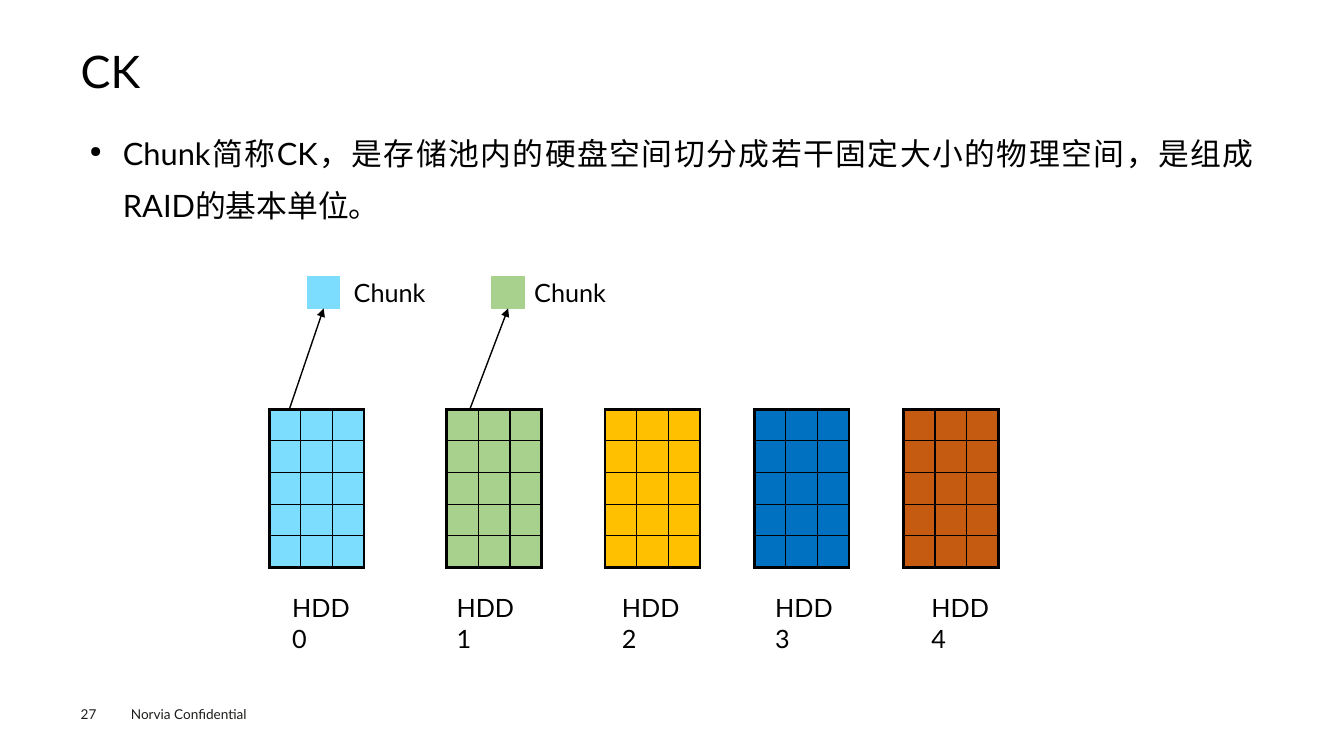
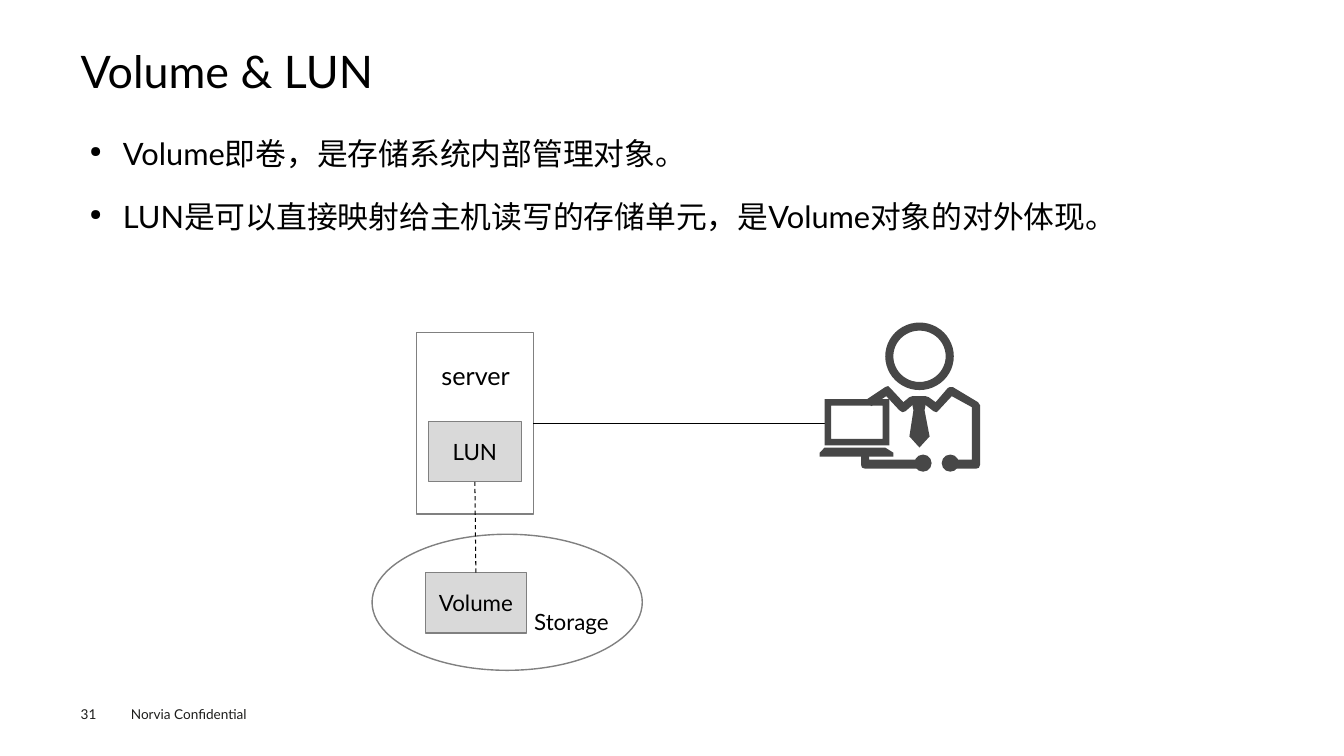
"""Build two storage concept slides: chunks, and volumes with LUNs."""
from lxml.etree import SubElement
from pptx import Presentation
from pptx.dml.color import RGBColor as Rgb
from pptx.enum.dml import MSO_LINE as Dash
from pptx.enum.shapes import MSO_CONNECTOR as Link, MSO_SHAPE as Kind
from pptx.enum.text import MSO_ANCHOR as Anchor, PP_ALIGN as Align
from pptx.oxml.ns import qn
from pptx.util import Inches, Pt

FONT = "Lato"
INK = {
    "black": "000000", "foot": "1D1D1B", "white": "FFFFFF", "edge": "808080",
    "box": "D9D9D9", "icon": "474747", "sky": "7DDDFF", "green": "A9D18E",
    "gold": "FFC000", "blue": "0070C0", "rust": "C55A11",
}


def hue(name):
    return Rgb.from_string(INK[name])


def write(frame, *lines, size=18, ink="black", align=Align.LEFT, anchor=Anchor.TOP,
          inset=(0.1, 0.05), space=None, before=0, bullet=False):
    frame.word_wrap = True
    frame.vertical_anchor = anchor
    frame.margin_left = frame.margin_right = Inches(inset[0])
    frame.margin_top = frame.margin_bottom = Inches(inset[1])
    for num, line in enumerate(lines):
        para = frame.add_paragraph() if num else frame.paragraphs[0]
        para.alignment = align
        para.line_spacing = space
        para.space_before = Pt(before)
        run = para.add_run()
        run.text = line
        run.font.size = Pt(size)
        run.font.name = FONT
        run.font.color.rgb = hue(ink)
        SubElement(run.font._element, qn("a:ea"), typeface=FONT)
        if bullet:
            props = para._p.get_or_add_pPr()
            props.set("marL", str(Inches(0.33)))
            props.set("indent", str(Inches(-0.33)))
            SubElement(props, qn("a:buSzPct"), val="50000")
            SubElement(props, qn("a:buChar"), char="●")


class Deck:
    """Hold the shared style and the current slide."""

    def __init__(self):
        self.file = Presentation()
        self.file.slide_width = Inches(13.33)
        self.file.slide_height = Inches(7.5)

    def page(self, num, title, *points):
        self.slide = self.file.slides.add_slide(self.file.slide_layouts[5])
        self.items = self.slide.shapes
        head = self.items.title
        head.left, head.top, head.width, head.height = map(Inches, (0.8, 0.49, 11.73, 0.53))
        write(head.text_frame, title, size=32, inset=(0, 0), space=0.9)
        self.label("Norvia Confidential", 1.2, 6.95, 1.6, 0.27, size=9.7, ink="foot")
        self.label(str(num), 0.8, 7, 0.55, 0.16, size=9.7, ink="foot", inset=(0, 0))
        self.label(points, 0.8, 1.15, 11.73, 5.34, size=22, align=Align.JUSTIFY,
                   inset=(0.09, 0.04), space=1.4, before=7.9, bullet=True)

    def label(self, text, x, y, w, h=0.4, **form):
        box = self.items.add_textbox(*map(Inches, (x, y, w, h)))
        lines = [text] if isinstance(text, str) else text
        write(box.text_frame, *lines, **form)

    def paint(self, item, fill=None, edge=None):
        item.shadow.inherit = False
        if fill:
            item.fill.solid()
            item.fill.fore_color.rgb = hue(fill)
        else:
            item.fill.background()
        if edge:
            item.line.color.rgb = hue(edge)
            item.line.width = Pt(1)
        else:
            item.line.fill.background()
        return item

    def shape(self, kind, x, y, w, h, fill=None, edge=None, text=None, ratio=None):
        item = self.items.add_shape(kind, *map(Inches, (x, y, w, h)))
        if ratio:
            item.adjustments[0] = ratio
        if text:
            write(item.text_frame, text, size=16, align=Align.CENTER, anchor=Anchor.MIDDLE)
        return self.paint(item, fill, edge)

    def outline(self, points, fill):
        spots = [(Inches(x), Inches(y)) for x, y in points]
        pen = self.items.build_freeform(*spots[0], scale=1.0)
        pen.add_line_segments(spots[1:], close=True)
        return self.paint(pen.convert_to_shape(), fill)

    def line(self, start, end, tail=None, head=None, width=0.75, dash=None, arrow=False):
        link = self.items.add_connector(Link.STRAIGHT, *map(Inches, (*start, *end)))
        if tail:
            link.begin_connect(*tail)
        if head:
            link.end_connect(*head)
        link.line.color.rgb = hue("black")
        link.line.width = Pt(width)
        if dash:
            link.line.dash_style = dash
        if arrow:
            SubElement(link.line._get_or_add_ln(), qn("a:tailEnd"), type="triangle")
        SubElement(link._element.spPr, qn("a:effectLst"))

    def disk(self, x, y, fill, rows=5, cols=3, side=0.314):
        size = Inches(side * cols), Inches(side * rows)
        grid = self.items.add_table(rows, cols, Inches(x), Inches(y), *size).table
        grid.first_row = grid.horz_banding = False
        for col in grid.columns:
            col.width = Inches(side)
        for r, row in enumerate(grid.rows):
            row.height = Inches(side)
            for c, cell in enumerate(row.cells):
                cell.margin_left = cell.margin_right = 0
                cell.margin_top = cell.margin_bottom = 0
                SubElement(cell.text_frame.paragraphs[0]._p, qn("a:endParaRPr"), sz="800")
                outer = {"L": c == 0, "R": c == cols - 1, "T": r == 0, "B": r == rows - 1}
                self.border(cell, outer)
                cell.fill.solid()
                cell.fill.fore_color.rgb = hue(fill)

    def border(self, cell, outer):
        props = cell._tc.get_or_add_tcPr()
        for side, thick in outer.items():
            rule = SubElement(props, qn("a:ln" + side), w=str(Pt(2.25 if thick else 1)))
            solid = SubElement(rule, qn("a:solidFill"))
            SubElement(solid, qn("a:srgbClr"), val=INK["black"])

    def user(self):
        base = [(8.18, 4.44), (8.78, 4.44), (8.86, 4.49), (8.86, 4.53),
                (8.13, 4.53), (8.13, 4.49)]
        arm = [(8.54, 4.51), (8.62, 4.51), (8.62, 4.56), (9.18, 4.56), (9.18, 4.65),
               (8.58, 4.65), (8.55, 4.64), (8.54, 4.61)]
        coat = [(9.68, 4.65), (9.47, 4.65), (9.47, 4.56), (9.64, 4.56), (9.64, 4.04),
                (9.44, 3.93), (9.31, 4.07), (9.29, 4.09), (9.26, 4.08), (9.17, 4.01),
                (9.06, 4.01), (8.98, 4.08), (8.95, 4.09), (8.92, 4.07), (8.79, 3.93),
                (8.64, 4.03), (8.6, 3.96), (8.78, 3.84), (8.81, 3.83), (8.83, 3.85),
                (8.96, 3.99), (9.02, 3.94), (9.05, 3.93), (9.18, 3.93), (9.21, 3.94),
                (9.28, 3.99), (9.4, 3.85), (9.42, 3.84), (9.45, 3.84), (9.7, 3.99),
                (9.72, 4.02), (9.72, 4.61), (9.71, 4.64)]
        tie = [(9.04, 3.97), (9.06, 4.07), (9.02, 4.33), (9.12, 4.44), (9.22, 4.33),
               (9.17, 4.07), (9.19, 3.97)]
        parts = [self.shape(Kind.DONUT, 8.78, 3.2, 0.68, 0.67, "icon", ratio=0.12),
                 self.shape(Kind.FRAME, 8.18, 3.96, 0.64, 0.46, "icon", ratio=0.14)]
        parts += [self.outline(points, "icon") for points in (base, arm, coat, tie)]
        parts += [self.shape(Kind.OVAL, x, 4.51, 0.17, 0.17, "icon") for x in (9.07, 9.34)]
        self.items.add_group_shape(parts)


def chunks(deck):
    deck.page(27, "CK", "Chunk简称CK，是存储池内的硬盘空间切分成若干固定大小的物理空间，"
              "是组成RAID的基本单位。")
    disks = [(2.67, 2.8, "sky"), (4.43, 4.43, "green"), (6, 6.07, "gold"),
             (7.48, 7.59, "blue"), (8.96, 9.14, "rust")]
    for num, (x, left, fill) in enumerate(disks):
        deck.disk(x, 4.06, fill)
        deck.label(f"HDD{num}", left, 5.83, 0.88)
    for x, left, foot, fill in ((3.05, 3.41, 2.87, "sky"), (4.88, 5.2, 4.66, "green")):
        chunk = deck.shape(Kind.RECTANGLE, x, 2.74, 0.32, 0.32, fill, fill)
        deck.label("Chunk", left, 2.7, 1)
        deck.line((foot, 4.06), (x + 0.16, 3.06), head=(chunk, 2), width=1, arrow=True)


def volumes(deck):
    deck.page(31, "Volume & LUN", "Volume即卷，是存储系统内部管理对象。",
              "LUN是可以直接映射给主机读写的存储单元，是Volume对象的对外体现。")
    deck.shape(Kind.OVAL, 3.69, 5.3, 2.68, 1.35, edge="edge")
    volume = deck.shape(Kind.RECTANGLE, 4.22, 5.68, 1, 0.6, "box", "edge", "Volume")
    server = deck.shape(Kind.RECTANGLE, 4.13, 3.3, 1.16, 1.8, "white", "edge")
    lun = deck.shape(Kind.RECTANGLE, 4.25, 4.18, 0.92, 0.6, "box", "edge", "LUN")
    deck.line((4.72, 5.68), (4.71, 4.78), (volume, 0), (lun, 2), dash=Dash.DASH)
    deck.label("server", 4.28, 3.53, 1)
    deck.label("Storage", 5.2, 5.98, 1.1, size=16)
    deck.line((5.29, 4.2), (8.18, 4.2), (server, 3))
    deck.user()


def main():
    deck = Deck()
    chunks(deck)
    volumes(deck)
    deck.file.save("out.pptx")


if __name__ == "__main__":
    main()
